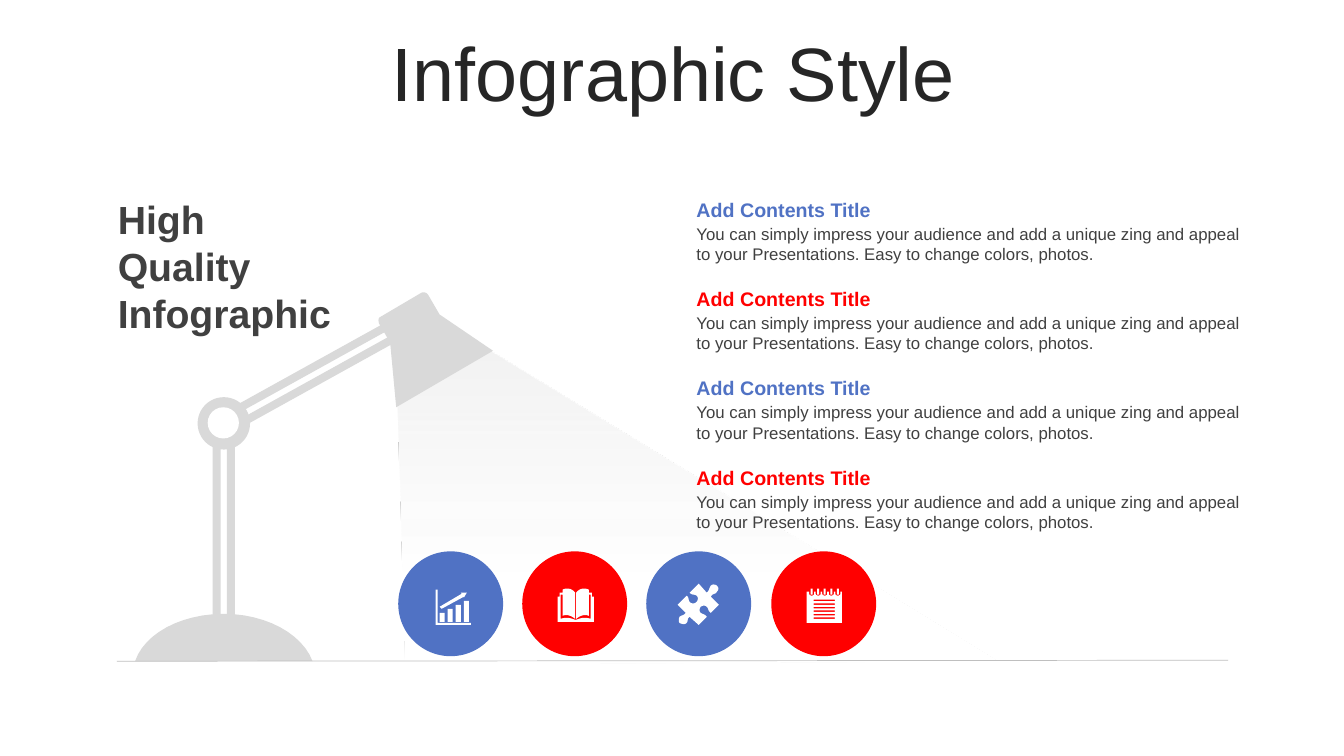
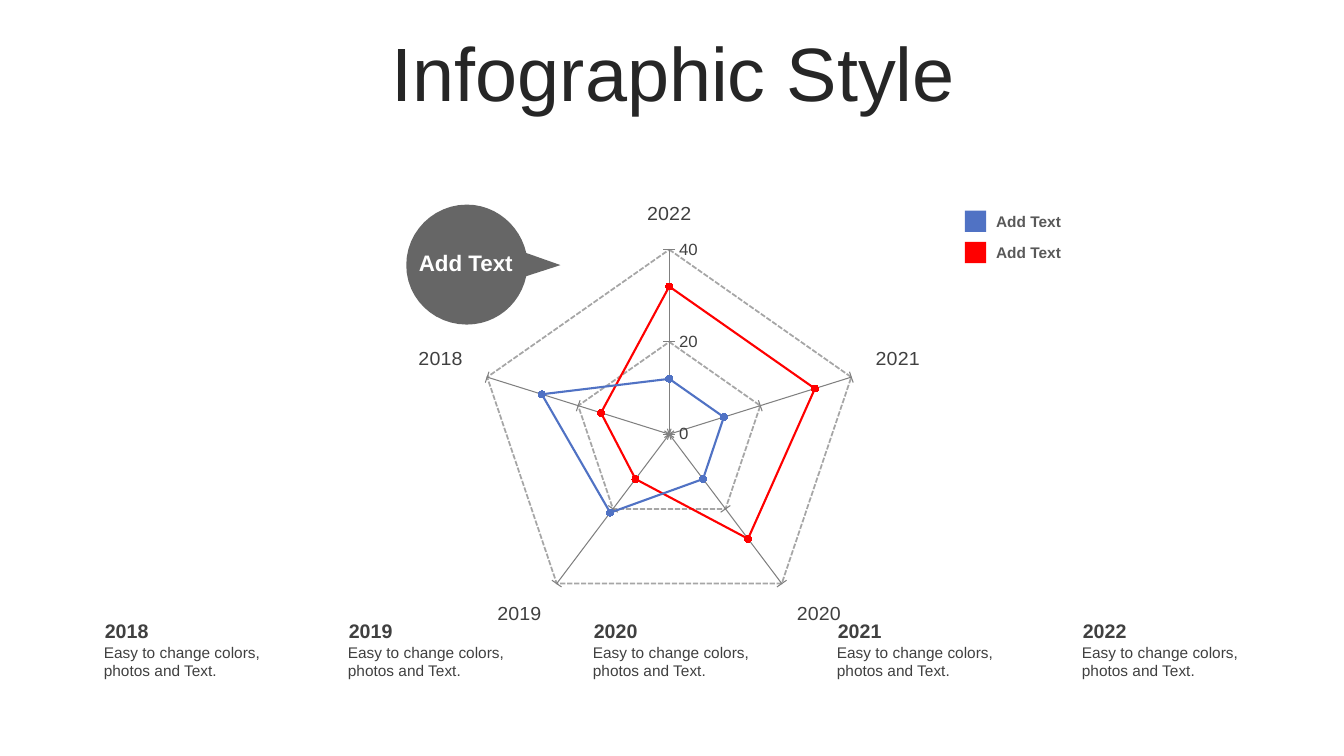
from pptx import Presentation
from pptx.chart.data import CategoryChartData
from pptx.dml.color import RGBColor
from pptx.enum.chart import XL_CHART_TYPE as ChartType, XL_MARKER_STYLE as Marker
from pptx.enum.chart import XL_TICK_MARK as Tick
from pptx.enum.dml import MSO_LINE as Dash
from pptx.enum.shapes import MSO_CONNECTOR as Connector, MSO_SHAPE as Preset
from pptx.enum.text import MSO_ANCHOR as Anchor, PP_ALIGN as Align
from pptx.oxml import parse_xml
from pptx.oxml.ns import nsdecls
from pptx.util import Pt

PX = 9144
FONT = "Arial"
BLUE, RED, WHITE = "5072C4", "FF0000", "FFFFFF"
TITLE_INK, INK, LEGEND_INK = "262626", "404040", "595959"
LAMP, GROUND, GRID, AXIS = "D9D9D9", "BFBFBF", "A6A6A6", "808080"
PITCH = ("You can simply impress your audience and add a unique zing and appeal "
         "to your Presentations. Easy to change colors, photos.")


def rgb(color):
    """Turn a hex string into a colour."""
    return RGBColor.from_string(color)


def style_font(font, size, color, bold=False):
    """Set face, size, colour and weight of a font."""
    font.name, font.size, font.bold = FONT, Pt(size), bold
    font.color.rgb = rgb(color)


def add_text(slide, box, text, size, color, bold=False, inset=(10, 5),
             anchor=Anchor.TOP, align=Align.LEFT):
    """Place wrapped text in a box and return its frame."""
    frame = slide.shapes.add_textbox(*(v * PX for v in box)).text_frame
    frame.word_wrap = True
    frame.vertical_anchor = anchor
    frame.margin_left = frame.margin_right = inset[0] * PX
    frame.margin_top = frame.margin_bottom = inset[1] * PX
    frame.text = text
    for paragraph in frame.paragraphs:
        paragraph.alignment = align
        for run in paragraph.runs:
            style_font(run.font, size, color, bold)
    return frame


def paint(shape, color):
    """Give a shape a flat fill without line or shadow."""
    shape.shadow.inherit = False
    shape.fill.solid()
    shape.fill.fore_color.rgb = rgb(color)
    shape.line.fill.background()
    return shape


def add_preset(slide, preset, box, color, rotation=0):
    """Draw a filled preset shape."""
    shape = paint(slide.shapes.add_shape(preset, *(v * PX for v in box)), color)
    shape.rotation = rotation
    return shape


def flatten(contour, steps=12):
    """Turn points and cubic curves (six numbers) into a list of points."""
    points = []
    for part in contour:
        if len(part) == 2:
            points.append(part)
            continue
        ends = (points[-1], part[:2], part[2:4], part[4:])
        for step in range(1, steps + 1):
            t = step / steps
            weights = ((1 - t) ** 3, 3 * t * (1 - t) ** 2, 3 * t * t * (1 - t), t ** 3)
            points.append(tuple(sum(w * p[axis] for w, p in zip(weights, ends))
                                for axis in (0, 1)))
    return points


def add_outline(slide, left, top, contours, color, units_per_px=1):
    """Draw closed contours, relative to a corner, as one filled shape."""
    unit = PX / units_per_px
    builder = None
    for contour in contours:
        points = [(left * PX + x * unit, top * PX + y * unit) for x, y in flatten(contour)]
        if builder is None:
            builder = slide.shapes.build_freeform(*points[0], scale=1.0)
        else:
            builder.move_to(*points[0])
        builder.add_line_segments(points[1:], close=True)
    return paint(builder.convert_to_shape(), color)


def rect(left, top, right, bottom):
    """Return the contour of a rectangle."""
    return [(left, top), (right, top), (right, bottom), (left, bottom)]


def growth_icon():
    """Return the contours of a bar chart with an arrow, in half px."""
    bars = [rect(8 + 16 * i, 46 - 8 * i, 18 + 16 * i, 64) for i in range(4)]
    arrow = [(50, 6), (62, 6), (56, 16), (56, 14), (12, 38), (8, 34), (52, 8)]
    axes = [(0, 0), (4, 0), (4, 66), (70, 66), (70, 70), (0, 70)]
    return bars + [arrow, axes]


def book_icon():
    """Return the contours of an open book, in half px."""
    page = [(36, 62), (48, 58, 54, 56, 66, 60), (66, 12), (62, 12), (62, 54),
            (54, 50, 44, 54, 37, 60), (37, 8), (42, 2, 46, 0, 52, 0),
            (56, 0, 58, 0, 62, 2), (62, 8), (68, 8), (68, 16), (72, 16),
            (72, 66), (36, 66)]
    mirrored = [tuple(v if i % 2 else 72 - v for i, v in enumerate(part)) for part in page]
    return [page, mirrored]


def puzzle_icon():
    """Return the contour of a puzzle piece, in half px."""
    piece = [(39, 2), (41, 4, 41, 6, 39, 8), (38, 11, 35, 9, 33, 13), (41, 21), (33, 29),
             (30, 27, 31, 25, 29, 23), (27, 21, 24, 22, 23, 23), (22, 24, 21, 27, 23, 29),
             (26, 31, 27, 30, 29, 33), (21, 41), (12, 33), (9, 35, 11, 36, 9, 39),
             (7, 41, 4, 40, 2, 39), (1, 38, 1, 35, 2, 33), (4, 31, 6, 32, 8, 29),
             (0, 21), (9, 12), (12, 14, 10, 17, 13, 19), (15, 20, 17, 20, 19, 18),
             (20, 17, 21, 14, 19, 12), (16, 10, 15, 12, 12, 9), (21, 0), (29, 9),
             (32, 6, 31, 5, 33, 2), (35, 0, 38, 1, 39, 2)]
    return [[tuple(2 * v for v in part) for part in piece]]


def notepad_icon():
    """Return the contours of a ring-bound notepad, in half px."""
    centers = range(10, 63, 13)
    sheet = [(0, 6)]
    for c in centers:
        sheet += [(c - 5, 6), (c - 5, 10), (c - 5, 15, c + 5, 15, c + 5, 10), (c + 5, 6)]
    sheet += [(70, 6), (70, 68), (0, 68)]
    rings = [rect(c - 2, 0, c + 2, 12) for c in centers]
    rules = [rect(14, y, 56, y + 3) for y in range(22, 58, 7)]
    return [sheet] + rings + rules


def add_title(slide):
    """Place the shared slide title."""
    frame = add_text(slide, (35, 37, 1266, 79), "Infographic Style", 54, TITLE_INK,
                     anchor=Anchor.MIDDLE, align=Align.CENTER)
    frame.paragraphs[0].line_spacing = 0.9
    frame.paragraphs[0].space_before = Pt(10)


def add_beam(slide, left, top):
    """Draw the fading light cone below the lamp head."""
    cone = [(0, 50), (8, 309), (593, 305), (93, 0), (18, 32)]
    beam = add_outline(slide, left, top, [cone], WHITE)
    stops = "".join(
        f'<a:gs pos="{pos}000"><a:srgbClr val="{color}"><a:alpha val="{alpha}000"/>'
        "</a:srgbClr></a:gs>"
        for pos, color, alpha in ((0, WHITE, 20), (27, WHITE, 80), (100, "F2F2F2", 100)))
    gradient = parse_xml(f'<a:gradFill {nsdecls("a")} rotWithShape="1"><a:gsLst>{stops}'
                         '</a:gsLst><a:lin ang="16200000" scaled="0"/></a:gradFill>')
    flat = beam.element.xpath("./p:spPr/a:solidFill")[0]
    flat.getparent().replace(flat, gradient)


def add_lamp(slide, left, top):
    """Draw the desk lamp: arms, joint, base and head."""
    for x, y, angle in ((165, -20, 61), (172, -8, 61), (77, 130, 0), (91, 130, 0)):
        add_preset(slide, Preset.RECTANGLE, (left + x, top + y, 8, 197), LAMP, angle)
    add_preset(slide, Preset.OVAL, (left + 62, top + 104, 52, 52), LAMP)
    add_preset(slide, Preset.OVAL, (left + 72, top + 114, 31, 31), WHITE)
    base = [(0, 366), (9, 339, 45, 319, 88, 319), (130, 319, 166, 339, 176, 366)]
    head = [(244, 24), (283, 1), (286, -1, 289, 0, 291, 3), (302, 22), (355, 58),
            (259, 114), (253, 50), (242, 31), (241, 28, 241, 25, 244, 24)]
    for part in (base, head):
        add_outline(slide, left, top, [part], LAMP)


def add_badges(slide, left, top, size):
    """Draw the row of round badges with their icons."""
    icons = ((growth_icon(), 37, 38), (book_icon(), 35, 37),
             (puzzle_icon(), 31, 32), (notepad_icon(), 35, 37))
    for i, (contours, dx, dy) in enumerate(icons):
        x = left + i * 370 // 3
        add_preset(slide, Preset.OVAL, (x, top, size, size), (BLUE, RED)[i % 2])
        add_outline(slide, x + dx, top + dy, contours, WHITE, 2)


def add_contents(slide, left, top, width):
    """Place the four headed paragraphs."""
    for i in range(4):
        y = top + i * 266 // 3
        add_text(slide, (left, y + 26, width, 50), PITCH, 12, INK, anchor=Anchor.MIDDLE)
        add_text(slide, (left, y, width, 34), "Add Contents Title", 14,
                 (BLUE, RED)[i % 2], True, anchor=Anchor.MIDDLE)


def add_ground(slide, left, right, top):
    """Draw the line the lamp stands on."""
    ground = slide.shapes.add_connector(Connector.STRAIGHT, left * PX, top * PX,
                                        right * PX, (top - 1) * PX)
    ground.line.color.rgb = rgb(GROUND)
    ground.line.width = Pt(0.5)
    ground.element.spPr.append(parse_xml(f'<a:effectLst {nsdecls("a")}/>'))


def build_lamp_slide(slide):
    """Build the slide with the desk lamp."""
    add_title(slide)
    add_beam(slide, 394, 349)
    add_lamp(slide, 134, 290)
    add_contents(slide, 681, 191, 560)
    add_text(slide, (107, 189, 416, 151), "High\nQuality\nInfographic", 28, INK, True)
    add_ground(slide, 116, 1218, 656)
    add_badges(slide, 395, 547, 104)


def add_radar(slide, box):
    """Place the radar chart of two series over five years."""
    data = CategoryChartData()
    data.categories = ["2022", "2021", "2020", "2019", "2018"]
    data.add_series("Series 1", (32, 32, 28, 12, 15))
    data.add_series("Series 2", (12, 12, 12, 21, 28))
    chart = slide.shapes.add_chart(ChartType.RADAR_MARKERS, *(v * PX for v in box), data).chart
    chart.has_legend = chart.has_title = False
    style_font(chart.font, 18, "000000")
    for series, color in zip(chart.plots[0].series, (RED, BLUE)):
        series.smooth = False
        series.format.line.color.rgb = rgb(color)
        series.format.line.width = Pt(1.5)
        series.marker.style, series.marker.size = Marker.CIRCLE, 5
        series.marker.format.fill.solid()
        series.marker.format.fill.fore_color.rgb = rgb(color)
        series.marker.format.line.color.rgb = rgb(color)
    years, values = chart.category_axis, chart.value_axis
    years.has_major_gridlines = values.has_major_gridlines = True
    years.major_tick_mark, values.major_tick_mark = Tick.OUTSIDE, Tick.CROSS
    style_font(years.tick_labels.font, 14, INK)
    style_font(values.tick_labels.font, 12, INK)
    values.minimum_scale, values.maximum_scale, values.major_unit = 0, 40, 20
    values.format.line.color.rgb = rgb(AXIS)
    grid = values.major_gridlines.format.line
    grid.color.rgb, grid.width, grid.dash_style = rgb(GRID), Pt(1.25), Dash.SQUARE_DOT
    plot_area = chart.element.xpath(".//c:plotArea")[0]
    for old_layout in plot_area.xpath("./c:layout"):
        plot_area.remove(old_layout)
    places = "".join(f'<c:{tag} val="{value}"/>' for tag, value in (
        ("layoutTarget", "inner"), ("xMode", "edge"), ("yMode", "edge"),
        ("x", 0.14), ("y", 0.07), ("w", 0.71), ("h", 0.87)))
    plot_area.insert(0, parse_xml(f'<c:layout {nsdecls("c")}><c:manualLayout>{places}'
                                  "</c:manualLayout></c:layout>"))


def add_legend(slide, left, top):
    """Place the two legend entries."""
    for i, color in enumerate((BLUE, RED)):
        y = top + 31 * i
        add_preset(slide, Preset.RECTANGLE, (left, y, 21, 21), color)
        add_text(slide, (left + 31, y + 1, 110, 19), "Add Text", 11, LEGEND_INK, True, (0, 0))


def add_years(slide, left, top):
    """Place the row of year notes."""
    for i in range(5):
        x = left + i * 485 // 2
        add_text(slide, (x, top + 24, 158, 37), "Easy to change colors, photos and Text.",
                 11, INK, inset=(0, 0))
        add_text(slide, (x + 1, top, 157, 24), str(2018 + i), 14, INK, True, (0, 0))


def add_callout(slide, left, top):
    """Draw the round callout that points right."""
    bubble = [(0, 60), (0, 27, 27, 0, 60, 0), (89, 0, 113, 21, 119, 48), (153, 60),
              (119, 71), (113, 99, 89, 119, 60, 119), (27, 119, 0, 93, 0, 60)]
    callout = add_outline(slide, left, top, [bubble], INK)
    tint = callout.element.xpath("./p:spPr/a:solidFill/a:srgbClr")[0]
    tint.append(parse_xml(f'<a:alpha {nsdecls("a")} val="80000"/>'))
    add_text(slide, (left + 3, top + 44, 112, 27), "Add Text", 16, WHITE, True, (0, 0),
             Anchor.MIDDLE, Align.CENTER)


def build_radar_slide(slide):
    """Build the slide with the radar chart."""
    add_title(slide)
    add_radar(slide, (399, 202, 535, 438))
    add_legend(slide, 957, 209)
    add_years(slide, 103, 614)
    add_callout(slide, 403, 203)


def main():
    """Build and save the presentation."""
    deck = Presentation()
    deck.slide_width, deck.slide_height = 1333 * PX, 750 * PX
    for build in (build_lamp_slide, build_radar_slide):
        build(deck.slides.add_slide(deck.slide_layouts[6]))
    deck.save("out.pptx")


if __name__ == "__main__":
    main()
